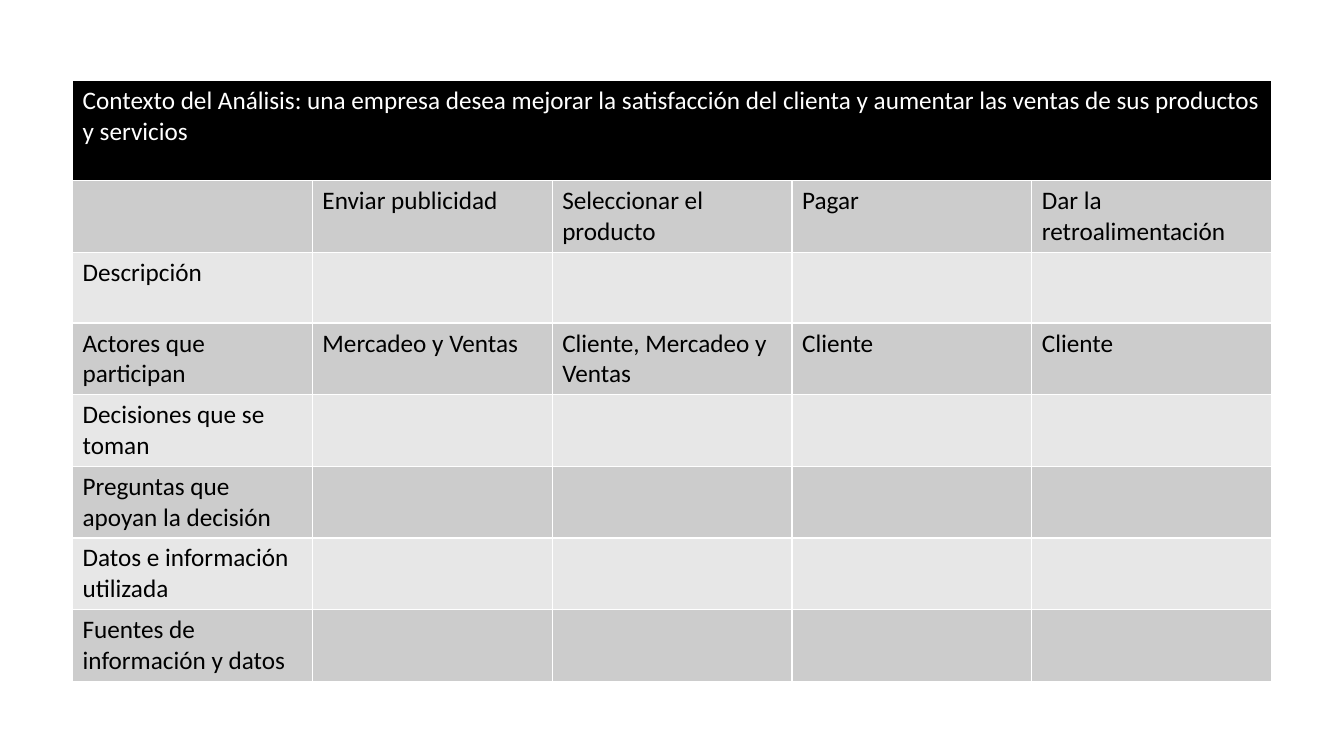
import pptx
import pptx.dml.color
import pptx.oxml
import pptx.oxml.ns
import pptx.util

Pt = pptx.util.Pt
RGB = pptx.dml.color.RGBColor
BLACK = RGB(0, 0, 0)
WHITE = RGB(255, 255, 255)
DARK = RGB(0xCC, 0xCC, 0xCC)
LIGHT = RGB(0xE7, 0xE7, 0xE7)

TITLE = ("Contexto del Análisis: una empresa desea mejorar la satisfacción del "
         "clienta y aumentar las ventas de sus productos y servicios")
ROWS = [
    [TITLE],
    ["", "Enviar publicidad", "Seleccionar el producto", "Pagar", "Dar la retroalimentación"],
    ["Descripción"],
    ["Actores que participan", "Mercadeo y Ventas", "Cliente, Mercadeo y Ventas",
     "Cliente", "Cliente"],
    ["Decisiones que se toman"],
    ["Preguntas que apoyan la decisión"],
    ["Datos e información utilizada"],
    ["Fuentes de información y datos"],
]
COLS = 5
LEFT, TOP = 51.84, 57.6
WIDTH, HEAD, BODY = 171.3, 71.6, 50.4


def edge(cell):
    props = cell._tc.get_or_add_tcPr()
    for side in "LRTB":
        props.append(pptx.oxml.parse_xml(
            f'<a:ln{side} {pptx.oxml.ns.nsdecls("a")} w="{Pt(1)}"><a:solidFill>'
            f'<a:srgbClr val="{WHITE}"/></a:solidFill></a:ln{side}>'))


def style(cell, text, back, ink):
    edge(cell)
    cell.fill.solid()
    cell.fill.fore_color.rgb = back
    cell.text_frame.text = text
    font = cell.text_frame.paragraphs[0].font
    if text:
        font = cell.text_frame.paragraphs[0].runs[0].font
    font.name = "Calibri"
    font.size = Pt(18)
    font.bold = False
    font.color.rgb = ink


deck = pptx.Presentation()
deck.slide_width, deck.slide_height = Pt(960), Pt(540)
slide = deck.slides.add_slide(deck.slide_layouts[6])
table = slide.shapes.add_table(
    len(ROWS), COLS, Pt(LEFT), Pt(TOP), Pt(WIDTH * COLS),
    Pt(HEAD + BODY * (len(ROWS) - 1))).table
for col in table.columns:
    col.width = Pt(WIDTH)
for r, texts in enumerate(ROWS):
    table.rows[r].height = Pt(BODY if r else HEAD)
    back = (DARK if r % 2 else LIGHT) if r else BLACK
    for c in range(COLS):
        text = texts[c] if c < len(texts) else ""
        style(table.cell(r, c), text, back, BLACK if r else WHITE)
table.cell(0, 0).merge(table.cell(0, COLS - 1))
deck.save("out.pptx")
